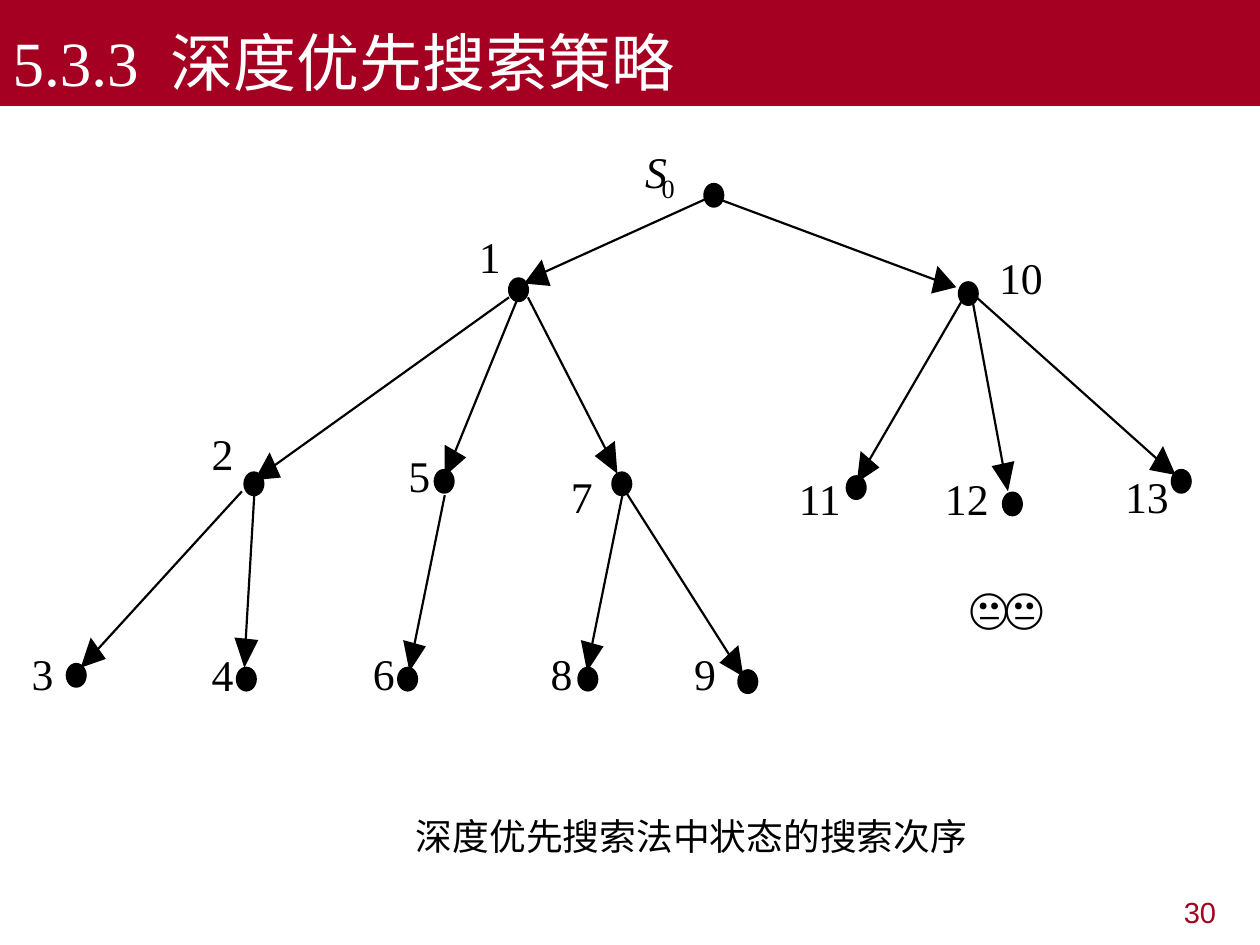
from lxml import etree
from pptx import Presentation
from pptx.dml.color import RGBColor
from pptx.enum.shapes import MSO_CONNECTOR, MSO_SHAPE
from pptx.enum.text import MSO_ANCHOR, MSO_AUTO_SIZE, PP_ALIGN
from pptx.oxml.ns import qn
from pptx.util import Inches, Pt

RED = RGBColor(0xA5, 0x00, 0x21)
WHITE = RGBColor(0xFF, 0xFF, 0xFF)
BLACK = RGBColor(0x00, 0x00, 0x00)
SERIF, SANS, CJK = "Times New Roman", "Arial", "Noto Sans CJK SC"
OVAL, LINE = MSO_SHAPE.OVAL, MSO_CONNECTOR.STRAIGHT
LEFT, RIGHT = PP_ALIGN.LEFT, PP_ALIGN.RIGHT
BOTTOM = MSO_ANCHOR.BOTTOM
FIXED, GROW = MSO_AUTO_SIZE.NONE, MSO_AUTO_SIZE.SHAPE_TO_FIT_TEXT

prs = Presentation()
prs.slide_width, prs.slide_height = Inches(10), Inches(7.5)
slide = prs.slides.add_slide(prs.slide_layouts[5])
shapes = slide.shapes


def style(frame, size, face, color):
    run = frame.paragraphs[0].runs[0]
    run.font.size = Pt(size)
    run.font.color.rgb = color
    run.font.name = face
    east = etree.SubElement(run.font._element, qn("a:ea"))
    east.set("typeface", CJK)
    return run


def label(text, x, y, width, height, size=25, face=SERIF):
    box = shapes.add_textbox(Inches(x), Inches(y), Inches(width), Inches(height))
    frame = box.text_frame
    frame.margin_left = frame.margin_right = 0
    frame.margin_top = frame.margin_bottom = 0
    frame.word_wrap = False
    frame.auto_size = GROW
    frame.text = text
    return style(frame, size, face, BLACK)


# Title bar
title = shapes.title
title.left, title.top = Inches(0), Inches(0)
title.width, title.height = Inches(10), Inches(0.84)
title.fill.solid()
title.fill.fore_color.rgb = RED
frame = title.text_frame
frame.text = "5.3.3  深度优先搜索策略"
frame.auto_size = FIXED
frame.vertical_anchor = BOTTOM
frame.paragraphs[0].alignment = LEFT
style(frame, 36, SERIF, WHITE)

# Page number
page = shapes.add_textbox(Inches(7.58), Inches(7.08), Inches(2.17), Inches(0.39))
frame = page.text_frame
frame.word_wrap = True
frame.text = "30"
frame.paragraphs[0].alignment = RIGHT
frame.paragraphs[0].line_spacing = 0.9
style(frame, 16.6, SANS, RED)

# Tree edges: line start, line end, then the corners of the arrowhead
edges = [
    ((5.6, 1.58), (4.32, 2.16), [(4.3, 2.06), (4.16, 2.25), (4.37, 2.27)]),
    ((5.73, 1.59), (7.42, 2.22), [(7.39, 2.33), (7.59, 2.28), (7.44, 2.11)]),
    ((7.65, 2.36), (6.9, 3.65), [(6.83, 3.58), (6.8, 3.83), (6.98, 3.71)]),
    ((7.71, 2.34), (7.96, 3.69), [(7.87, 3.7), (8, 3.9), (8.05, 3.66)]),
    ((7.75, 2.36), (9.18, 3.64), [(9.12, 3.73), (9.33, 3.77), (9.23, 3.54)]),
    ((4.04, 2.36), (2.17, 3.7), [(2.14, 3.59), (2.02, 3.81), (2.23, 3.79)]),
    ((4.1, 2.39), (3.61, 3.59), [(3.53, 3.53), (3.53, 3.78), (3.7, 3.63)]),
    ((4.19, 2.36), (4.81, 3.57), [(4.72, 3.62), (4.9, 3.76), (4.88, 3.5)]),
    ((1.92, 3.9), (0.77, 5.16), [(0.72, 5.06), (0.64, 5.3), (0.84, 5.23)]),
    ((2.02, 3.9), (1.95, 5.08), [(1.86, 5.06), (1.94, 5.3), (2.05, 5.08)]),
    ((3.53, 3.93), (3.29, 5.11), [(3.2, 5.08), (3.25, 5.33), (3.38, 5.13)]),
    ((4.94, 3.93), (4.7, 5.11), [(4.61, 5.08), (4.66, 5.33), (4.79, 5.13)]),
    ((4.9, 3.8), (5.79, 5.2), [(5.71, 5.26), (5.9, 5.37), (5.86, 5.12)]),
]
for start, end, head in edges:
    edge = shapes.add_connector(LINE, *[Inches(v) for v in start + end])
    edge.line.color.rgb = BLACK
    edge.line.width = Pt(1.25)
    etree.SubElement(edge._element.spPr, qn("a:effectLst"))
    points = [(Inches(x), Inches(y)) for x, y in head]
    pen = shapes.build_freeform(*points[0])
    pen.add_line_segments(points[1:], close=True)
    tip = pen.convert_to_shape()
    tip.shadow.inherit = False
    tip.fill.solid()
    tip.fill.fore_color.rgb = BLACK
    tip.line.fill.background()

# Tree nodes: name, dot corner, label corner
nodes = [
    ("S", 5.59, 1.46, 5.12, 1.15),
    ("1", 4.04, 2.21, 3.8, 1.82),
    ("2", 1.94, 3.75, 1.68, 3.39),
    ("3", 0.53, 5.27, 0.25, 5.13),
    ("4", 1.88, 5.3, 1.68, 5.14),
    ("5", 3.45, 3.73, 3.24, 3.56),
    ("6", 3.16, 5.3, 2.96, 5.13),
    ("7", 4.86, 3.75, 4.53, 3.73),
    ("8", 4.59, 5.3, 4.37, 5.13),
    ("9", 5.86, 5.32, 5.51, 5.13),
    ("10", 7.61, 2.24, 7.93, 1.99),
    ("11", 6.72, 3.78, 6.34, 3.74),
    ("12", 7.96, 3.91, 7.5, 3.74),
    ("13", 9.3, 3.73, 8.93, 3.73),
]
for name, x, y, left, top in nodes:
    dot = shapes.add_shape(OVAL, Inches(x), Inches(y), Inches(0.15), Inches(0.18))
    dot.shadow.inherit = False
    dot.fill.solid()
    dot.fill.fore_color.rgb = BLACK
    dot.line.color.rgb = BLACK
    dot.line.width = Pt(1.25)
    run = label(name, left, top, 0.18 * len(name), 0.42)
    if name == "S":
        run.font.italic = True
label("0", 5.25, 1.37, 0.11, 0.25, size=15)

# Faces and caption
for x in (7.97, 7.69):
    label("😐", x, 4.61, 0.33, 0.42, face=SANS)
label("深度优先搜索法中状态的搜索次序", 3.3, 6.46, 4.38, 0.35, size=21, face=CJK)

prs.save("out.pptx")
